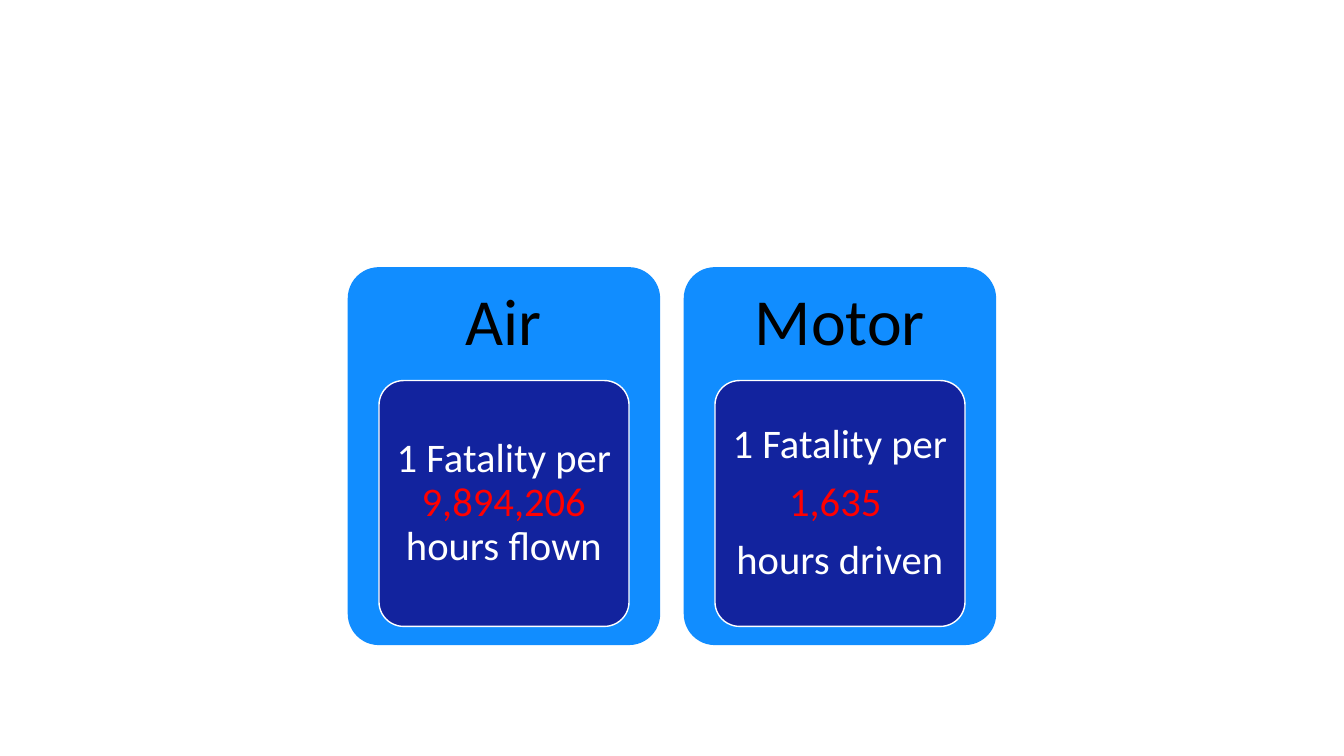
from pptx import Presentation
from pptx.dml.color import RGBColor
from pptx.enum.shapes import MSO_SHAPE
from pptx.enum.text import MSO_ANCHOR, PP_ALIGN
from pptx.util import Pt

COLORS = {
    "card": "118DFF",
    "panel": "12239E",
    "heading": "000000",
    "body": "FFFFFF",
    "figure": "FF0000",
}
FONT = "Calibri"

CARD_LEFT, CARD_TOP, CARD_WIDTH, CARD_HEIGHT = 248.4, 190.8, 223.2, 270
CARD_PITCH = 240
HEADING_HEIGHT = 81
PANEL_WIDTH, PANEL_HEIGHT = 178.6, 175.6
PANEL_INSET = (CARD_WIDTH - PANEL_WIDTH) / 2
TEXT_INSET = 5.2

# Each card: heading, then paragraphs made of (text, colour name) spans.
CARDS = [
    ("Air", [[("1 Fatality per ", "body"), ("9,894,206", "figure"),
              (" hours flown", "body")]]),
    ("Motor", [[("1 Fatality per ", "body")], [("1,635 ", "figure")],
               [("hours driven", "body")]]),
]


def color(name):
    """Return the named colour."""
    return RGBColor.from_string(COLORS[name])


def add_rounded(page, left, top, width, height, fill, line=None):
    """Add a rounded rectangle, outlined only if a line colour is given."""
    shape = page.shapes.add_shape(MSO_SHAPE.ROUNDED_RECTANGLE,
                                  Pt(left), Pt(top), Pt(width), Pt(height))
    shape.adjustments[0] = 0.1
    shape.shadow.inherit = False
    shape.fill.solid()
    shape.fill.fore_color.rgb = color(fill)
    if line:
        shape.line.color.rgb = color(line)
        shape.line.width = Pt(1)
    else:
        shape.line.fill.background()


def add_text(page, left, top, width, height, paragraphs, size, margins):
    """Add a centred text box of paragraphs built from coloured spans."""
    box = page.shapes.add_textbox(Pt(left), Pt(top), Pt(width), Pt(height))
    frame = box.text_frame
    frame.word_wrap = True
    frame.vertical_anchor = MSO_ANCHOR.MIDDLE
    side, end = margins
    frame.margin_left = frame.margin_right = Pt(side)
    frame.margin_top = frame.margin_bottom = Pt(end)
    for index, spans in enumerate(paragraphs):
        para = frame.add_paragraph() if index else frame.paragraphs[0]
        para.alignment = PP_ALIGN.CENTER
        para.line_spacing = 0.9
        para.space_after = Pt(round(size * 0.35))
        for text, color_name in spans:
            span = para.add_run()
            span.text = text
            span.font.name = FONT
            span.font.size = Pt(size)
            span.font.color.rgb = color(color_name)


def add_card(page, left, heading, paragraphs):
    """Add a card with a heading and an inner panel of text."""
    add_rounded(page, left, CARD_TOP, CARD_WIDTH, CARD_HEIGHT, "card")
    add_text(page, left, CARD_TOP, CARD_WIDTH, HEADING_HEIGHT,
             [[(heading, "heading")]], 47, (14.4, 14.4))
    panel_left, panel_top = left + PANEL_INSET, CARD_TOP + HEADING_HEIGHT
    add_rounded(page, panel_left, panel_top, PANEL_WIDTH, PANEL_HEIGHT,
                "panel", "body")
    add_text(page, panel_left + TEXT_INSET, panel_top + TEXT_INSET,
             PANEL_WIDTH - 2 * TEXT_INSET, PANEL_HEIGHT - 2 * TEXT_INSET,
             paragraphs, 29, (5.8, 4.3))


def main():
    """Build the slide and save it."""
    deck = Presentation()
    deck.slide_width, deck.slide_height = Pt(960), Pt(540)
    page = deck.slides.add_slide(deck.slide_layouts[6])
    for index, (heading, paragraphs) in enumerate(CARDS):
        add_card(page, CARD_LEFT + index * CARD_PITCH, heading, paragraphs)
    deck.save("out.pptx")


main()
